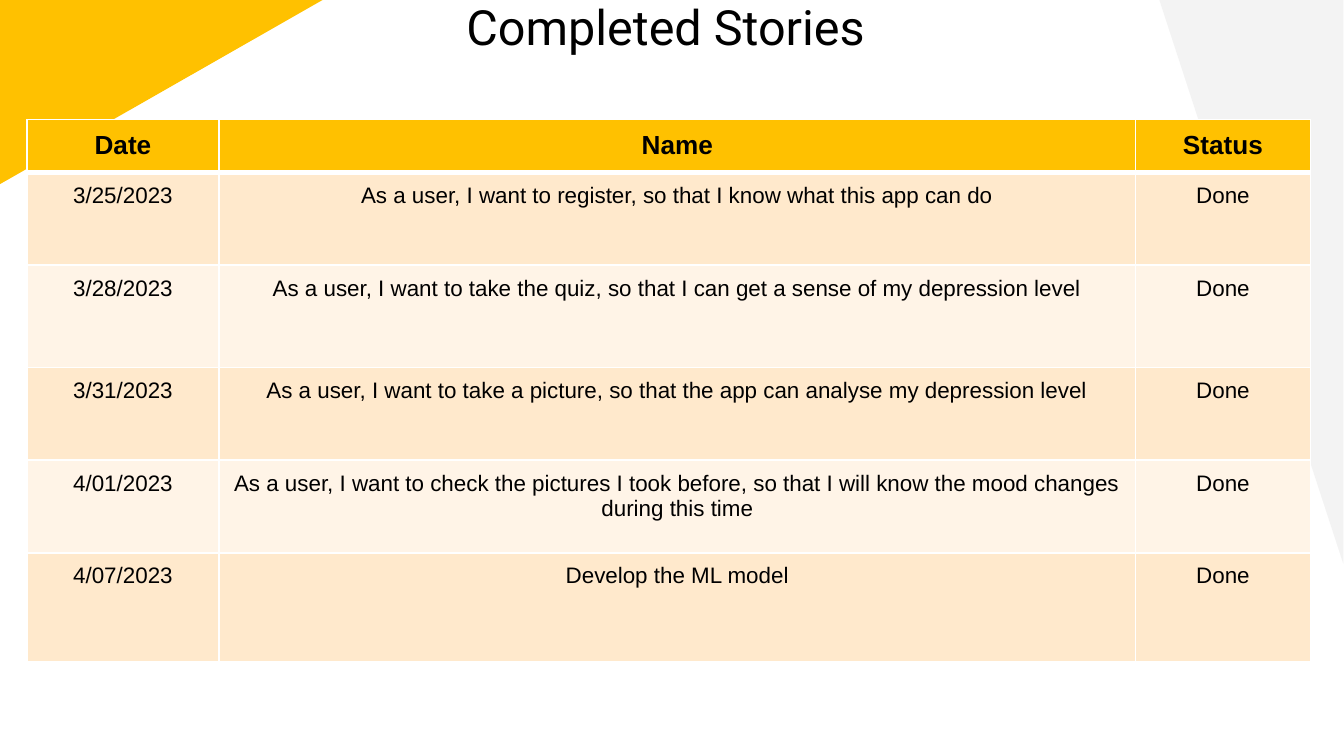
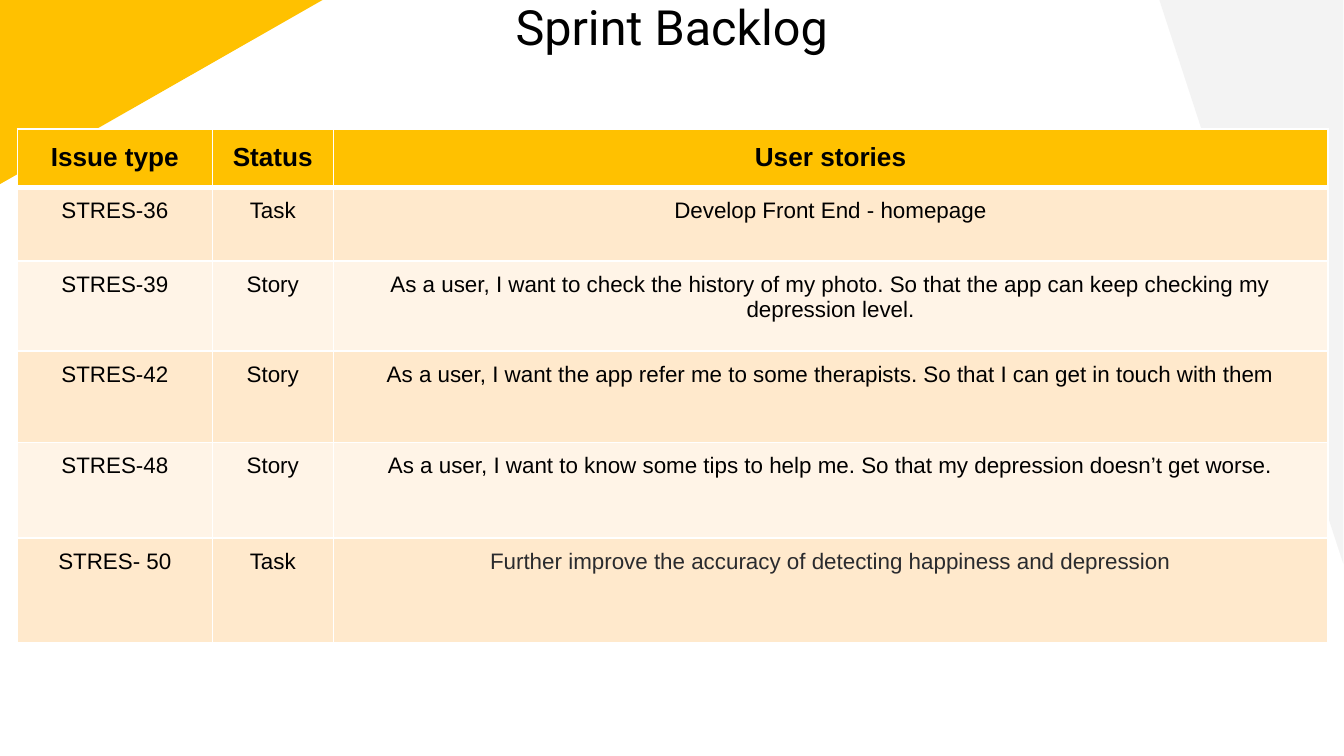
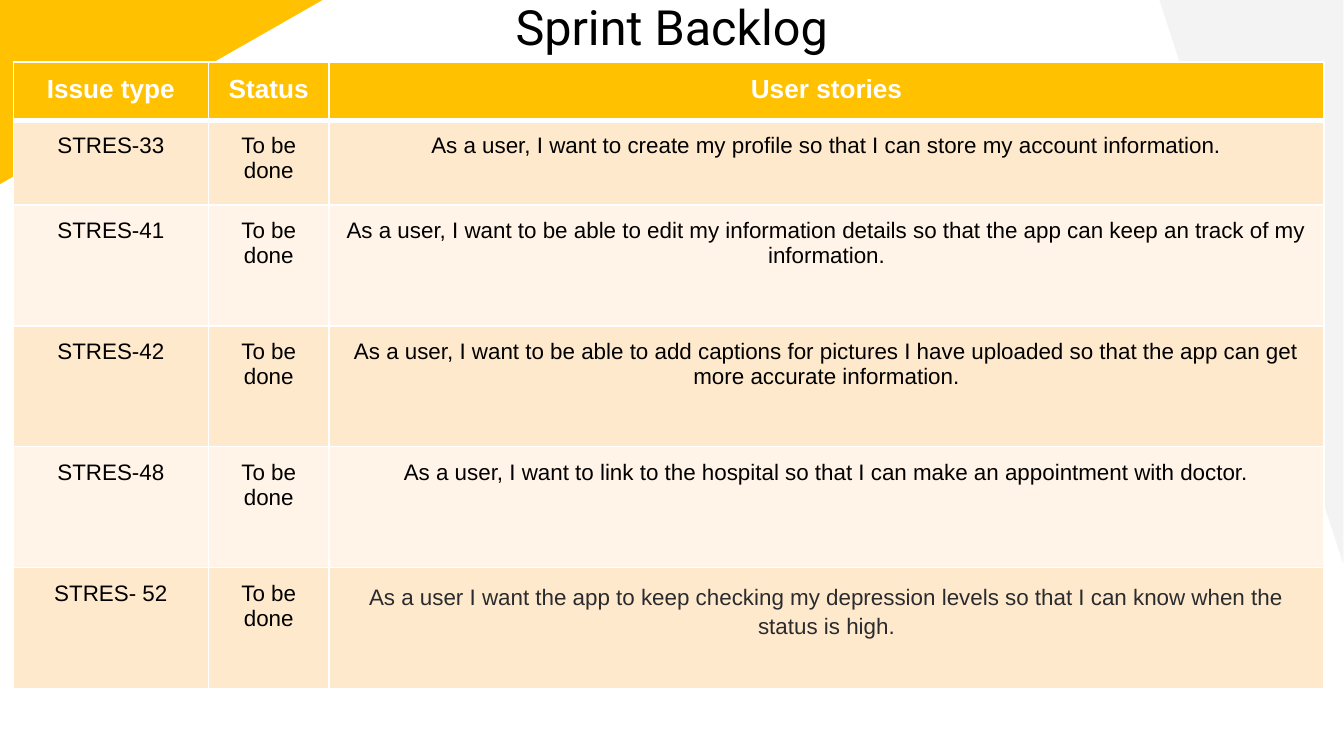
"""Build three sprint slides, each with a title and a story table."""
from lxml.etree import SubElement
from pptx import Presentation
from pptx.dml.color import RGBColor
from pptx.enum.shapes import MSO_SHAPE as Preset
from pptx.enum.text import MSO_ANCHOR as Anchor, PP_ALIGN as Align
from pptx.oxml.ns import qn
from pptx.util import Inches, Pt

COLORS = {
    "gold": "FFC100", "gray": "F3F3F3", "peach": "FFE9CC", "cream": "FFF4E7",
    "white": "FFFFFF", "black": "000000", "charcoal": "2A2B2E",
}
CORNERS = [
    ((0, 0, 2.4, 1.37), 180, "gold"),
    ((7.21, 1.41, 4.2, 1.37), 270, "gray"),
]
TITLE_BOX = (0.57, -0.12, 8.86, 0.76)
BACKLOG_HEADER = ("Issue type", "Status", "User stories")
BACKLOG_COLUMNS = (1.45, 0.9, 7.4)

SLIDES = [
    {
        "title": "Completed Stories ",
        "origin": (0.2, 0.89),
        "columns": (1.43, 6.82, 1.3),
        "heights": (0.38, 0.69, 0.76, 0.69, 0.69, 0.81),
        "margins": (0.08, 0.08),
        "header_color": "black",
        "last_cell": {},
        "rows": [
            ("Date", "Name", "Status"),
            ("3/25/2023", "As a user, I want to register, so that I know what this app can do", "Done"),
            ("3/28/2023", "As a user, I want to take the quiz, so that I can get a sense of my depression level", "Done"),
            ("3/31/2023", "As a user, I want to take a picture, so that the app can analyse my depression level", "Done"),
            ("4/01/2023", "As a user, I want to check the pictures I took before, so that I will know the mood changes during this time", "Done"),
            ("4/07/2023", "Develop the ML model", "Done"),
        ],
    },
    {
        "title": "Sprint Backlog",
        "origin": (0.13, 0.96),
        "columns": BACKLOG_COLUMNS,
        "heights": (0.38, 0.55, 0.67, 0.68, 0.71, 0.78),
        "margins": (0.1, 0.08),
        "header_color": "black",
        "last_cell": {"color": "charcoal"},
        "rows": [
            BACKLOG_HEADER,
            ("STRES-36", "Task", "Develop Front End - homepage"),
            ("STRES-39", "Story", "As a user, I want to check the history of my photo. So that the app can keep checking my depression level."),
            ("STRES-42", "Story", "As a user, I want the app refer me to some therapists. So that I can get in touch with them"),
            ("STRES-48", "Story", "As a user, I want to know some tips to help me. So that my depression doesn’t get worse."),
            ("STRES- 50", "Task", "Further improve the accuracy of detecting happiness and depression"),
        ],
    },
    {
        "title": "Sprint Backlog",
        "origin": (0.1, 0.46),
        "columns": BACKLOG_COLUMNS,
        "heights": (0.41, 0.63, 0.9, 0.9, 0.9, 0.9),
        "margins": (0.1, 0.1),
        "header_color": "white",
        "last_cell": {"color": "charcoal", "spacing": 1.15},
        "rows": [
            BACKLOG_HEADER,
            ("STRES-33", "To be done", "As a user, I want to create my profile so that I can store my account information."),
            ("STRES-41", "To be done", "As a user, I want to be able to edit my information details so that the app can keep an track of my information."),
            ("STRES-42", "To be done", "As a user, I want to be able to add captions for pictures I have uploaded so that the app can get more accurate information."),
            ("STRES-48", "To be done", "As a user, I want to link to the hospital so that I can make an appointment with doctor."),
            ("STRES- 52", "To be done", "As a user I want the app to keep checking my depression levels so that I can know when the status is high."),
        ],
    },
]


def rgb(name):
    return RGBColor.from_string(COLORS[name])


def paint(fill, color):
    fill.solid()
    fill.fore_color.rgb = rgb(color)


def set_margins(target, margin):
    target.margin_left = target.margin_right = Inches(margin)
    target.margin_top = target.margin_bottom = Inches(margin)


def write(frame, text, size=12, color="black", font="Arial", bold=False, spacing=None):
    paragraph = frame.paragraphs[0]
    paragraph.alignment = Align.CENTER
    if spacing:
        paragraph.line_spacing = spacing
    run = paragraph.add_run()
    run.text = text
    run.font.size = Pt(size)
    run.font.name = font
    run.font.bold = bold
    run.font.color.rgb = rgb(color)


def add_corners(slide):
    for box, rotation, color in CORNERS:
        shape = slide.shapes.add_shape(Preset.RIGHT_TRIANGLE, *map(Inches, box))
        shape.rotation = rotation
        shape.element.spPr.get_or_add_xfrm().set("flipH", "1")
        shape.shadow.inherit = False
        paint(shape.fill, color)
        shape.line.fill.background()


def add_title(slide, text):
    frame = slide.shapes.add_textbox(*map(Inches, TITLE_BOX)).text_frame
    frame.word_wrap = True
    frame.vertical_anchor = Anchor.TOP
    set_margins(frame, 0.1)
    write(frame, text, size=26, font="Roboto")


def add_borders(cell, top=1, bottom=1):
    properties = cell._tc.get_or_add_tcPr()
    for side, width in (("L", 1), ("R", 1), ("T", top), ("B", bottom)):
        line = SubElement(properties, qn(f"a:ln{side}"), w=str(Pt(width)))
        solid = SubElement(line, qn("a:solidFill"))
        SubElement(solid, qn("a:srgbClr"), val=COLORS["white"])


def add_story_table(slide, content):
    rows, columns, heights = content["rows"], content["columns"], content["heights"]
    box = (*content["origin"], sum(columns), sum(heights))
    table = slide.shapes.add_table(len(rows), len(columns), *map(Inches, box)).table
    for column, width in zip(table.columns, columns):
        column.width = Inches(width)
    for row, height in zip(table.rows, heights):
        row.height = Inches(height)

    header_margin, body_margin = content["margins"]
    last = (len(rows) - 1, len(columns) - 1)
    for r, texts in enumerate(rows):
        header = r == 0
        fill = "gold" if header else ("cream", "peach")[r % 2]
        for c, text in enumerate(texts):
            cell = table.cell(r, c)
            set_margins(cell, header_margin if header else body_margin)
            add_borders(cell, top=3 if r == 1 else 1, bottom=3 if header else 1)
            paint(cell.fill, fill)
            if header:
                style = {"size": 14, "bold": True, "color": content["header_color"]}
            else:
                style = content["last_cell"] if (r, c) == last else {}
            write(cell.text_frame, text, **style)


def main():
    presentation = Presentation()
    presentation.slide_width = Inches(10)
    presentation.slide_height = presentation.slide_width * 9 // 16
    for content in SLIDES:
        slide = presentation.slides.add_slide(presentation.slide_layouts[6])
        add_corners(slide)
        add_title(slide, content["title"])
        add_story_table(slide, content)
    presentation.save("out.pptx")


if __name__ == "__main__":
    main()
